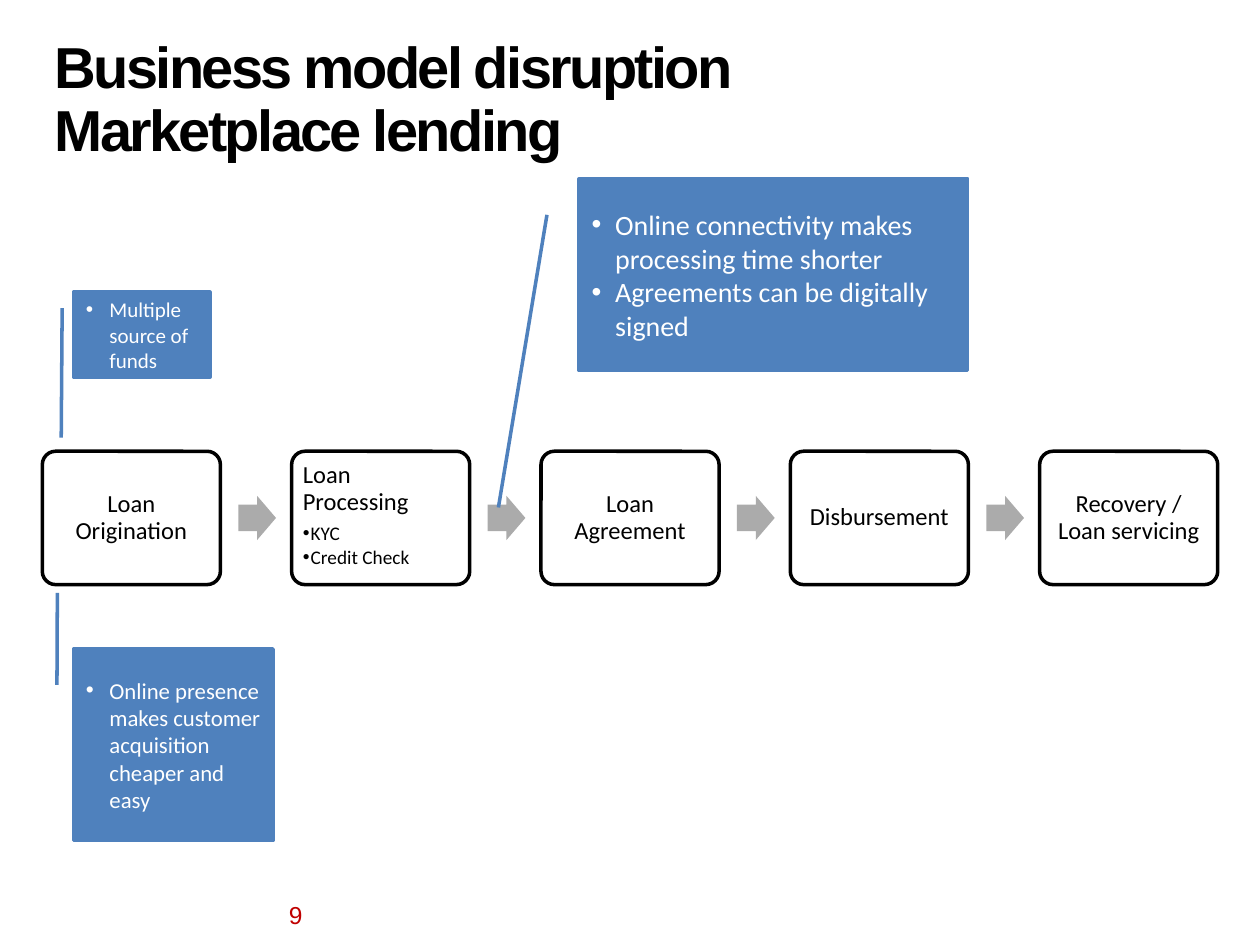
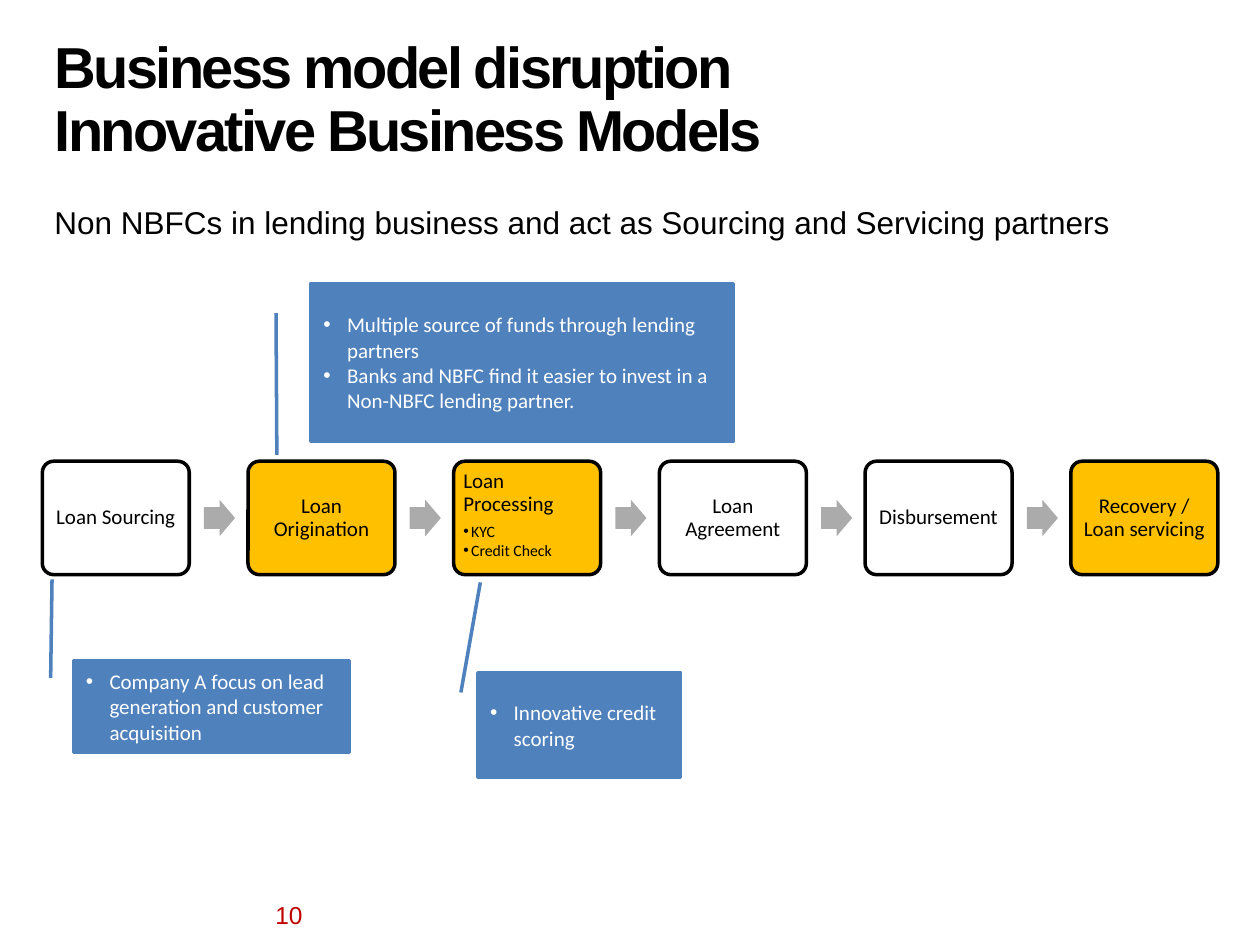
from dataclasses import dataclass
from lxml import etree
from pptx import Presentation
from pptx.dml.color import RGBColor
from pptx.enum import shapes, text
from pptx.oxml.ns import qn
from pptx.util import Pt


@dataclass(frozen=True)
class Theme:
    black: str = "000000"
    white: str = "FFFFFF"
    blue: str = "4F81BD"
    amber: str = "FFC000"
    grey: str = "ABABAB"
    red: str = "C00000"
    heading_font: str = "Arial"
    diagram_font: str = "Calibri"
    title_size: float = 33
    subtitle_size: float = 18
    number_size: float = 14
    line_width: float = 2


THEME = Theme()
ROW_LEFT, ROW_WIDTH, ROW_MIDDLE = 24.2, 671.7, 296
GAP_RATIO = 0.4


def apply(target, values):
    for name, value in values.items():
        setattr(target, name, value)


def place(box, left, top, width, height):
    apply(box, dict(left=Pt(left), top=Pt(top), width=Pt(width), height=Pt(height)))


def set_frame(box, anchor, side=7.2, edge=3.6):
    apply(box.text_frame, dict(
        word_wrap=True, auto_size=text.MSO_AUTO_SIZE.NONE, vertical_anchor=anchor,
        margin_left=Pt(side), margin_right=Pt(side),
        margin_top=Pt(edge), margin_bottom=Pt(edge)))


def add_line(box, words, size, color, font, bold=False, **layout):
    frame = box.text_frame
    para = frame.paragraphs[0] if not frame.text else frame.add_paragraph()
    apply(para, dict(alignment=text.PP_ALIGN.LEFT) | layout)
    span = para.add_run()
    span.text = words
    apply(span.font, dict(size=Pt(size), name=font, bold=bold))
    span.font.color.rgb = RGBColor.from_string(color)
    return para


def add_bullet(para, indent, color):
    props = para._p.get_or_add_pPr()
    props.set("marL", str(Pt(indent)))
    props.set("indent", str(Pt(-indent)))
    tint = etree.SubElement(props, qn("a:buClr"))
    etree.SubElement(tint, qn("a:srgbClr")).set("val", color)
    etree.SubElement(props, qn("a:buFont")).set("typeface", THEME.heading_font)
    etree.SubElement(props, qn("a:buChar")).set("char", "•")


def add_block(page, kind, bounds, fill, line=None, adjust=()):
    box = page.shapes.add_shape(kind, *map(Pt, bounds))
    box.shadow.inherit = False
    box.fill.solid()
    box.fill.fore_color.rgb = RGBColor.from_string(fill)
    if line:
        box.line.color.rgb = RGBColor.from_string(line)
        box.line.width = Pt(THEME.line_width)
    else:
        box.line.fill.background()
    for index, value in enumerate(adjust):
        box.adjustments[index] = value
    return box


def add_page(deck, title_lines, number):
    page = deck.slides.add_slide(deck.slide_layouts[5])
    title = page.shapes.title
    place(title, 24, 12, 498, 90)
    set_frame(title, text.MSO_ANCHOR.MIDDLE)
    for words in title_lines:
        para = add_line(title, words, THEME.title_size, THEME.black, THEME.heading_font,
                        bold=True, line_spacing=Pt(36))
        para.runs[0]._r.get_or_add_rPr().set("spc", "-150")
    add_label(page, (12, 508.3, 168, 28.8), str(number), THEME.number_size, THEME.red,
              text.MSO_ANCHOR.MIDDLE, text.PP_ALIGN.RIGHT)
    return page


def add_label(page, bounds, words, size, color, anchor, alignment):
    box = page.shapes.add_textbox(*map(Pt, bounds))
    set_frame(box, anchor)
    add_line(box, words, size, color, THEME.heading_font, alignment=alignment)


def add_step(page, bounds, name, details, size, detail_size, fill):
    box = add_block(page, shapes.MSO_SHAPE.ROUNDED_RECTANGLE, bounds, fill,
                    THEME.black, [0.1])
    anchor = text.MSO_ANCHOR.TOP if details else text.MSO_ANCHOR.MIDDLE
    alignment = text.PP_ALIGN.LEFT if details else text.PP_ALIGN.CENTER
    set_frame(box, anchor, size * 0.3, size * 0.3)
    add_line(box, name, size, THEME.black, THEME.diagram_font, alignment=alignment,
             line_spacing=0.9, space_after=Pt(size * 0.35))
    for detail in details:
        para = add_line(box, detail, detail_size, THEME.black, THEME.diagram_font,
                        level=1, line_spacing=0.9, space_after=Pt(detail_size * 0.15))
        add_bullet(para, 4.5, THEME.black)


def add_process(page, steps, height, size, detail_size, highlighted=()):
    count = len(steps)
    width = ROW_WIDTH / (count + GAP_RATIO * (count - 1))
    arrow_width, arrow_height = width * 0.212, width * 0.248
    for index, (name, *details) in enumerate(steps):
        left = ROW_LEFT + index * width * (1 + GAP_RATIO)
        fill = THEME.amber if name in highlighted else THEME.white
        add_step(page, (left, ROW_MIDDLE - height / 2, width, height),
                 name, details, size, detail_size, fill)
        if index < count - 1:
            add_block(page, shapes.MSO_SHAPE.RIGHT_ARROW,
                      (left + width * 1.1, ROW_MIDDLE - arrow_height / 2,
                       arrow_width, arrow_height), THEME.grey, adjust=[0.6, 0.5])


def add_callout(page, bounds, leader_end, size, points):
    box = add_block(page, shapes.MSO_SHAPE.LINE_CALLOUT_1, bounds, THEME.blue,
                    THEME.blue, [0.188, -0.083, *leader_end])
    set_frame(box, text.MSO_ANCHOR.MIDDLE)
    for words in points:
        para = add_line(box, words, size, THEME.white, THEME.diagram_font)
        add_bullet(para, 13.5, THEME.white)


def main():
    deck = Presentation()
    apply(deck, dict(slide_width=Pt(720), slide_height=Pt(540)))
    steps = [
        ("Loan Origination",),
        ("Loan Processing", "KYC", "Credit Check"),
        ("Loan Agreement",),
        ("Disbursement",),
        ("Recovery / Loan servicing",),
    ]

    page = add_page(deck, ["Business model disruption", "Marketplace lending"], 9)
    add_process(page, steps, 76.2, 14, 11)
    add_callout(page, (42, 167, 78, 48.5), (1.714, -0.09), 12,
                ["Multiple source of funds"])
    add_callout(page, (42, 370.8, 114, 109.5), (-0.293, -0.081), 13,
                ["Online presence makes customer acquisition cheaper and easy"])
    add_callout(page, (331, 102.2, 222, 109.5), (1.715, -0.208), 16,
                ["Online connectivity makes processing time shorter",
                 "Agreements can be digitally signed"])

    page = add_page(deck, ["Business model disruption", "Innovative Business Models"], 10)
    add_process(page, [("Loan Sourcing",), *steps], 64.8, 12, 9,
                {"Loan Origination", "Loan Processing", "Recovery / Loan servicing"})
    add_callout(page, (177.8, 162, 241.5, 90), (1.089, -0.081), 12,
                ["Multiple source of funds through lending partners",
                 "Banks and NBFC find it easier to invest in a Non-NBFC lending partner."])
    add_callout(page, (42, 377.5, 157.7, 52.5), (-0.883, -0.078), 12,
                ["Company A focus on lead generation and customer acquisition"])
    add_label(page, (24, 112.3, 630, 29),
              "Non NBFCs in lending business and act as Sourcing and Servicing partners",
              THEME.subtitle_size, THEME.black, text.MSO_ANCHOR.TOP, text.PP_ALIGN.LEFT)
    add_callout(page, (273, 384.5, 116, 59.8), (-0.864, 0.013), 12,
                ["Innovative credit scoring"])

    deck.save("out.pptx")


if __name__ == "__main__":
    main()
